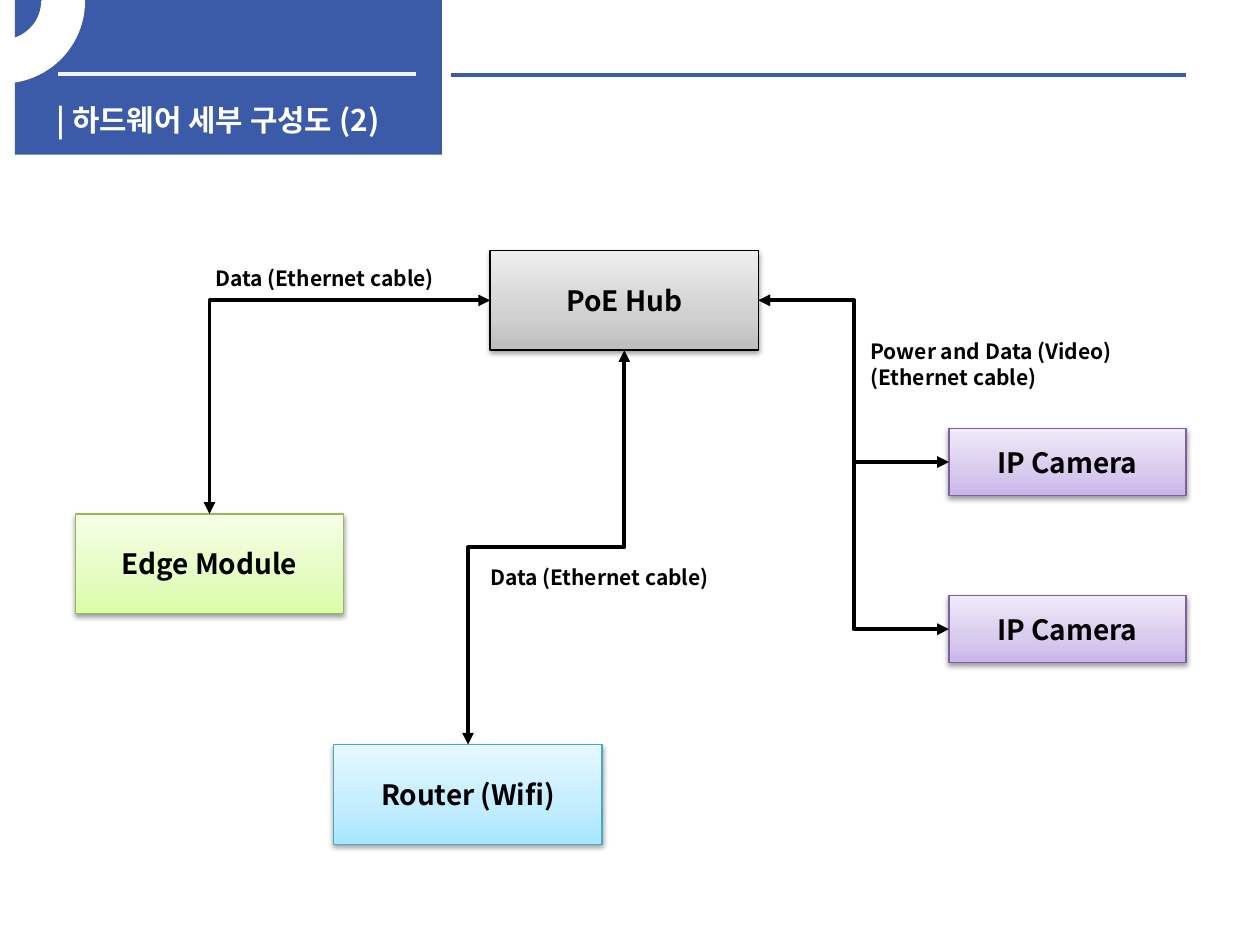
"""Build the hardware block diagram slide: a PoE hub wired to a board, a router and two cameras."""
from copy import deepcopy

from lxml import etree
from pptx import Presentation
from pptx.dml.color import RGBColor
from pptx.enum.shapes import MSO_CONNECTOR, MSO_SHAPE
from pptx.enum.text import MSO_ANCHOR, PP_ALIGN
from pptx.oxml.ns import qn
from pptx.util import Cm, Pt

RECTANGLE, BLOCK_ARC = MSO_SHAPE.RECTANGLE, MSO_SHAPE.BLOCK_ARC
STRAIGHT, ELBOW = MSO_CONNECTOR.STRAIGHT, MSO_CONNECTOR.ELBOW
LEFT, CENTER = PP_ALIGN.LEFT, PP_ALIGN.CENTER
TOP, MIDDLE = MSO_ANCHOR.TOP, MSO_ANCHOR.MIDDLE
TOP_SITE, LEFT_SITE, BOTTOM_SITE, RIGHT_SITE = range(4)

THEME = {
    "font": "Noto Sans CJK KR",
    "title": 17, "node": 16, "label": 12,
    "blue": "3B5AA8", "white": "FFFFFF", "pale": "F2F2F2", "black": "000000",
    "rule": 2.25, "border": 0.75,
    "grey_node": ("BDBDBD", "D1D1D1", "EEEEEE", "000000"),
    "green_node": ("DAFDA7", "E4FCC2", "F5FFE7", "98B955"),
    "cyan_node": ("A7E6FF", "C1EDFF", "E7F8FF", "46AAC5"),
    "violet_node": ("C9B5E8", "D8CBEE", "F0EAF9", "7D60A0"),
}


def write(shape, lines, size, color, align=LEFT, anchor=TOP):
    """Fill a shape with bold paragraphs."""
    frame = shape.text_frame
    frame.word_wrap = True
    frame.vertical_anchor = anchor
    for index, line in enumerate(lines):
        para = frame.paragraphs[0] if index == 0 else frame.add_paragraph()
        para.alignment = align
        span = para.add_run()
        span.text = line
        span.font.color.rgb = RGBColor.from_string(THEME[color])
        for name, value in {"name": THEME["font"], "size": Pt(THEME[size]), "bold": True}.items():
            setattr(span.font, name, value)
        etree.SubElement(span.font._element, qn("a:ea"), typeface=THEME["font"])


def style_line(connector, color, arrows=False):
    """Give a connector its colour, width and optional arrowheads."""
    connector.line.color.rgb = RGBColor.from_string(THEME[color])
    connector.line.width = Pt(THEME["rule"])
    properties = connector._element.spPr
    if arrows:
        for tag in ("a:headEnd", "a:tailEnd"):
            etree.SubElement(properties.find(qn("a:ln")), qn(tag), type="triangle")
    etree.SubElement(properties, qn("a:effectLst"))


deck = Presentation()
deck.slide_width, deck.slide_height = Cm(25.4), Cm(19.05)
page = deck.slides.add_slide(deck.slide_layouts[6])
shapes = page.shapes

panel = shapes.add_shape(RECTANGLE, Cm(0.3), 0, Cm(8.61), Cm(3.12))
arc = shapes.add_shape(BLOCK_ARC, Cm(-1.6), Cm(-1.6), Cm(3.28), Cm(3.25))
for index, value in enumerate((0, 54, 0.25)):
    arc.adjustments[index] = value
for shape, color in ((panel, "blue"), (arc, "white")):
    shape.shadow.inherit = False
    shape.fill.solid()
    shape.fill.fore_color.rgb = RGBColor.from_string(THEME[color])
panel.line.fill.background()
arc.line.color.rgb = RGBColor.from_string(THEME["white"])
arc.line.width = Pt(2)

for start, end, height, color in ((1.17, 8.38, 1.5, "pale"), (9.09, 23.9, 1.52, "blue")):
    style_line(shapes.add_connector(STRAIGHT, Cm(start), Cm(height), Cm(end), Cm(height)), color)

texts = (
    (0.89, 1.93, 8.2, 1.35, ["| 하드웨어 세부 구성도 (2)"], "title", "white"),
    (4.09, 5.23, 5.1, 0.76, ["Data (Ethernet cable)"], "label", "black"),
    (17.3, 6.71, 5.61, 1.27, ["Power and Data (Video)", "(Ethernet cable)"], "label", "black"),
    (9.63, 11.25, 5.41, 0.76, ["Data (Ethernet cable)"], "label", "black"),
)
for left, top, width, height, lines, size, color in texts:
    box = shapes.add_textbox(Cm(left), Cm(top), Cm(width), Cm(height))
    write(box, lines, size, color)

large, small = (5.41, 2.01), (4.78, 1.35)
nodes = (
    ("hub", "PoE Hub", 9.88, 5.05, large, "grey_node"),
    ("board", "Edge Module", 1.52, 10.36, large, "green_node"),
    ("router", "Router (Wifi)", 6.73, 15.01, large, "cyan_node"),
    ("camera 1", "IP Camera", 19.13, 8.64, small, "violet_node"),
    ("camera 2", "IP Camera", 19.13, 12.01, small, "violet_node"),
)
placed = {}
for key, caption, left, top, (width, height), palette in nodes:
    node = shapes.add_shape(RECTANGLE, Cm(left), Cm(top), Cm(width), Cm(height))
    placed[key] = node
    *shades, border = THEME[palette]
    node.fill.gradient()
    node.fill.gradient_angle = 90
    properties = node._element.spPr
    stop_list = properties.find(".//" + qn("a:gsLst"))
    stop_list.append(deepcopy(stop_list[-1]))
    for stop, position, shade in zip(node.fill.gradient_stops, (0, 0.35, 1), shades):
        stop.position = position
        stop.color.rgb = RGBColor.from_string(shade)
    node.line.color.rgb = RGBColor.from_string(border)
    node.line.width = Pt(THEME["border"])
    node.shadow.inherit = False
    shadow = etree.SubElement(properties.find(qn("a:effectLst")), qn("a:outerShdw"),
                              blurRad=str(Pt(3.1)), dist=str(Pt(1.6)), dir="5400000", rotWithShape="0")
    tint = etree.SubElement(shadow, qn("a:srgbClr"), val=THEME["black"])
    etree.SubElement(tint, qn("a:alpha"), val="38000")
    write(node, [caption], "node", "black", CENTER, MIDDLE)

cables = (
    ("camera 1", RIGHT_SITE, LEFT_SITE),
    ("camera 2", RIGHT_SITE, LEFT_SITE),
    ("board", LEFT_SITE, TOP_SITE),
    ("router", BOTTOM_SITE, TOP_SITE),
)
for key, hub_site, node_site in cables:
    cable = shapes.add_connector(ELBOW, 0, 0, 0, 0)
    cable.begin_connect(placed["hub"], hub_site)
    cable.end_connect(placed[key], node_site)
    style_line(cable, "black", arrows=True)
    properties = cable._element.spPr
    if hub_site == LEFT_SITE:
        properties.find(qn("a:prstGeom")).set("prst", "bentConnector2")
    if hub_site == BOTTOM_SITE:
        left, top, width, height = cable.left, cable.top, cable.width, cable.height
        shift = (width - height) // 2
        cable.left, cable.top, cable.width, cable.height = left + shift, top - shift, height, width
        properties.xfrm.flipH = False
        properties.xfrm.rot = 90

deck.save("out.pptx")
